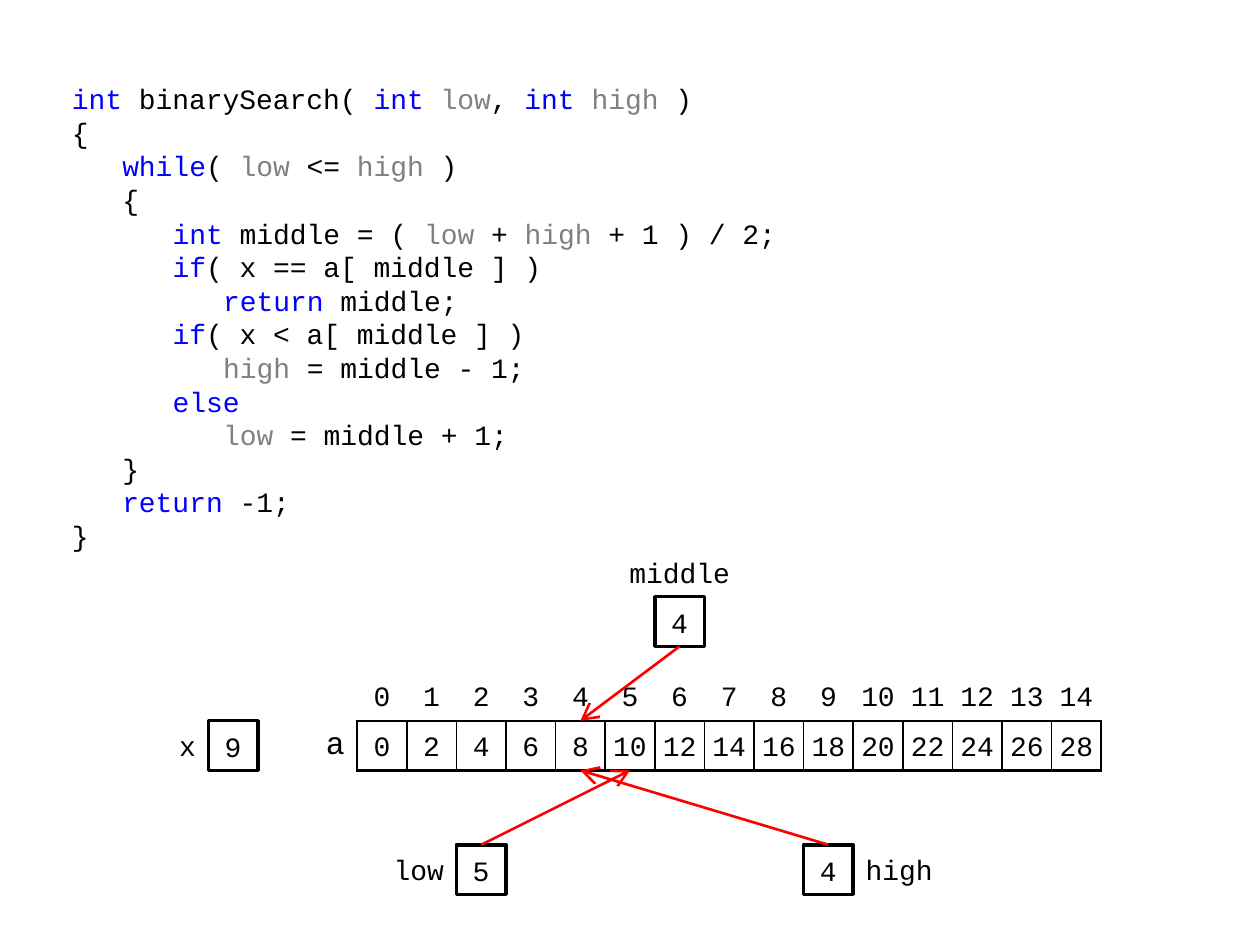
from dataclasses import dataclass
from itertools import groupby

from lxml.etree import SubElement, Element
from pptx import Presentation
from pptx.dml.color import RGBColor
from pptx.enum.shapes import MSO_CONNECTOR as Connector, MSO_SHAPE as Shape
from pptx.enum.text import MSO_ANCHOR as Anchor, PP_ALIGN as Align
from pptx.oxml.ns import qn
from pptx.util import Cm, Pt

COLORS = {"text": "000000", "keyword": "0000FF", "bound": "808080",
          "arrow": "FF0000", "box": "FFFFFF"}
FONT = "Courier New"
KINDS = {**dict.fromkeys(("int", "while", "if", "else", "return"), "keyword"),
         **dict.fromkeys(("low", "high"), "bound")}
# Indent level and code of each line
CODE = [
    (0, "int binarySearch( int low, int high )"),
    (0, "{"),
    (1, "while( low <= high )"),
    (1, "{"),
    (2, "int middle = ( low + high + 1 ) / 2;"),
    (2, "if( x == a[ middle ] )"),
    (3, "return middle;"),
    (2, "if( x < a[ middle ] )"),
    (3, "high = middle - 1;"),
    (2, "else"),
    (3, "low = middle + 1;"),
    (1, "}"),
    (1, "return -1;"),
    (0, "}"),
]
INDENT = Pt(28.8)  # three characters

# Layout in centimetres: the array cells and variable boxes are squares
CELL = 1.0
COUNT = 15
TABLE_LEFT, INDEX_TOP = 6.2, 13.53
ARRAY_TOP = INDEX_TOP + CELL
ARRAY_BOTTOM = ARRAY_TOP + CELL
MIDDLE_TOP = ARRAY_TOP - 2.5
BOUNDS_TOP = ARRAY_BOTTOM + 1.5

BODY = {"word_wrap": False, "vertical_anchor": Anchor.MIDDLE,
        "margin_left": Cm(0.25), "margin_right": Cm(0.25),
        "margin_top": Cm(0.13), "margin_bottom": Cm(0.13)}
BOX_BODY = {**BODY, "word_wrap": True, "margin_bottom": Cm(0.1)}
CODE_BODY = {**BODY, "vertical_anchor": Anchor.TOP}
CELL_BODY = {"vertical_anchor": Anchor.MIDDLE, "margin_left": 0,
             "margin_right": 0, "margin_top": 0, "margin_bottom": 0}
NAME_BODY = {**CELL_BODY, "vertical_anchor": Anchor.TOP,
             "margin_left": Cm(0.25), "margin_right": Cm(0.25)}
CELL_PARA = {"line_spacing": 1.2, "space_before": Pt(3.2)}
ARROWHEAD = {"type": "arrow", "w": "lg", "len": "lg"}


@dataclass
class Variable:
    """A boxed value with its label."""
    name: str
    value: int
    left: float
    top: float
    label_left: float
    label_top: float
    label_width: float
    align: Align


@dataclass
class Arrow:
    """An arrow between two points."""
    x1: float
    y1: float
    x2: float
    y2: float


VARIABLES = [
    Variable("middle", 4, 13.2, MIDDLE_TOP, 12.2, MIDDLE_TOP - CELL, 3, Align.CENTER),
    Variable("low", 5, 9.2, BOUNDS_TOP, 7.6, BOUNDS_TOP, 1.6, Align.RIGHT),
    Variable("high", 4, 16.2, BOUNDS_TOP, 17.2, BOUNDS_TOP, 2, Align.LEFT),
    Variable("x", 9, 4.2, ARRAY_TOP, 3.2, ARRAY_TOP, 1, Align.RIGHT),
]
ARROWS = [
    Arrow(9.7, BOUNDS_TOP, 12.7, ARRAY_BOTTOM),
    Arrow(16.7, BOUNDS_TOP, 11.7, ARRAY_BOTTOM),
    Arrow(13.7, MIDDLE_TOP + CELL, 11.7, ARRAY_TOP),
]


def rgb(name: str) -> RGBColor:
    """Look up a named colour."""
    return RGBColor.from_string(COLORS[name])


def apply(target, values: dict) -> None:
    """Set each format value on the target."""
    for key, value in values.items():
        setattr(target, key, value)


def add_run(p, text: str, color: str = "text", size: float = 16) -> None:
    """Append a run of monospaced text."""
    r = p.add_run()
    r.text = text
    apply(r.font, {"name": FONT, "size": Pt(size)})
    r.font.color.rgb = rgb(color)


def add_text_box(s, left: float, top: float, width: float, height: float, body: dict):
    """Add an empty text box and return its text frame."""
    tf = s.shapes.add_textbox(Cm(left), Cm(top), Cm(width), Cm(height)).text_frame
    apply(tf, body)
    return tf


def draw_code(s) -> None:
    """Draw the highlighted listing."""
    tf = add_text_box(s, 1.2, 1.52, 15.5, 10, CODE_BODY)
    for i, (level, line) in enumerate(CODE):
        p = tf.add_paragraph() if i else tf.paragraphs[0]
        p.line_spacing = Pt(19.2)
        p._p.get_or_add_pPr().set("marL", str(level * INDENT))
        tokens = ["".join(chars) for _, chars in groupby(line, str.isalpha)]
        for kind, words in groupby(tokens, lambda t: KINDS.get(t, "text")):
            add_run(p, "".join(words), kind)


def set_borders(cell, widths: dict[str, float]) -> None:
    """Give a cell its borders; edges without a width stay clear."""
    tc_pr = cell._tc.get_or_add_tcPr()
    for i, edge in enumerate("LRTB"):
        ln = Element(qn(f"a:ln{edge}"))
        if edge in widths:
            ln.set("w", str(Pt(widths[edge])))
            fill = SubElement(ln, qn("a:solidFill"))
            SubElement(fill, qn("a:srgbClr")).set("val", COLORS["text"])
        else:
            SubElement(ln, qn("a:noFill"))
        tc_pr.insert(i, ln)


def cell_borders(row: int, col: int) -> dict[str, float]:
    """Work out border widths: thick outline, thin dividers."""
    if col == 0:
        return {"R": 1.5} if row else {}
    if row == 0:
        return {"B": 1.5}
    return {"L": 1.5 if col == 1 else 1, "R": 1.5 if col == COUNT else 1,
            "T": 1.5, "B": 1.5}


def draw_array(s) -> None:
    """Draw the array with its indices above."""
    rows = [["", *range(COUNT)], ["a", *range(0, 2 * COUNT, 2)]]
    table = s.shapes.add_table(2, COUNT + 1, Cm(TABLE_LEFT), Cm(INDEX_TOP),
                               Cm(CELL * (COUNT + 1)), Cm(2 * CELL)).table
    apply(table, {"first_row": False, "horz_banding": False})
    for i, values in enumerate(rows):
        for j, value in enumerate(values):
            cell = table.cell(i, j)
            apply(cell, CELL_BODY if j else NAME_BODY)
            cell.fill.background()
            set_borders(cell, cell_borders(i, j))
            if value == "":
                continue
            p = cell.text_frame.paragraphs[0]
            apply(p, {**CELL_PARA, "alignment": Align.CENTER if j else Align.RIGHT})
            add_run(p, str(value), size=16 if j else 18)


def draw_variable(s, v: Variable) -> None:
    """Draw a variable's box and label."""
    sp = s.shapes.add_shape(Shape.RECTANGLE, Cm(v.left), Cm(v.top), Cm(CELL), Cm(CELL))
    sp.shadow.inherit = False
    sp.fill.solid()
    sp.fill.fore_color.rgb = rgb("box")
    sp.line.color.rgb = rgb("text")
    sp.line.width = Pt(2)
    apply(sp.text_frame, BOX_BODY)
    label = add_text_box(s, v.label_left, v.label_top, v.label_width, CELL, BODY)
    for tf, text, align in ((sp.text_frame, str(v.value), Align.CENTER),
                            (label, v.name, v.align)):
        p = tf.paragraphs[0]
        p.alignment = align
        add_run(p, text)


def draw_arrow(s, a: Arrow) -> None:
    """Draw an arrow with an open head."""
    line = s.shapes.add_connector(Connector.STRAIGHT, Cm(a.x1), Cm(a.y1), Cm(a.x2), Cm(a.y2))
    line.line.color.rgb = rgb("arrow")
    line.line.width = Pt(1.5)
    SubElement(line.line._get_or_add_ln(), qn("a:tailEnd"), ARROWHEAD)
    SubElement(line._element.spPr, qn("a:effectLst"))


prs = Presentation()
apply(prs, {"slide_width": Cm(25.4), "slide_height": Cm(19.05)})
s = prs.slides.add_slide(prs.slide_layouts[6])
draw_code(s)
draw_array(s)
for variable in VARIABLES:
    draw_variable(s, variable)
for arrow in ARROWS:
    draw_arrow(s, arrow)
prs.save("out.pptx")
